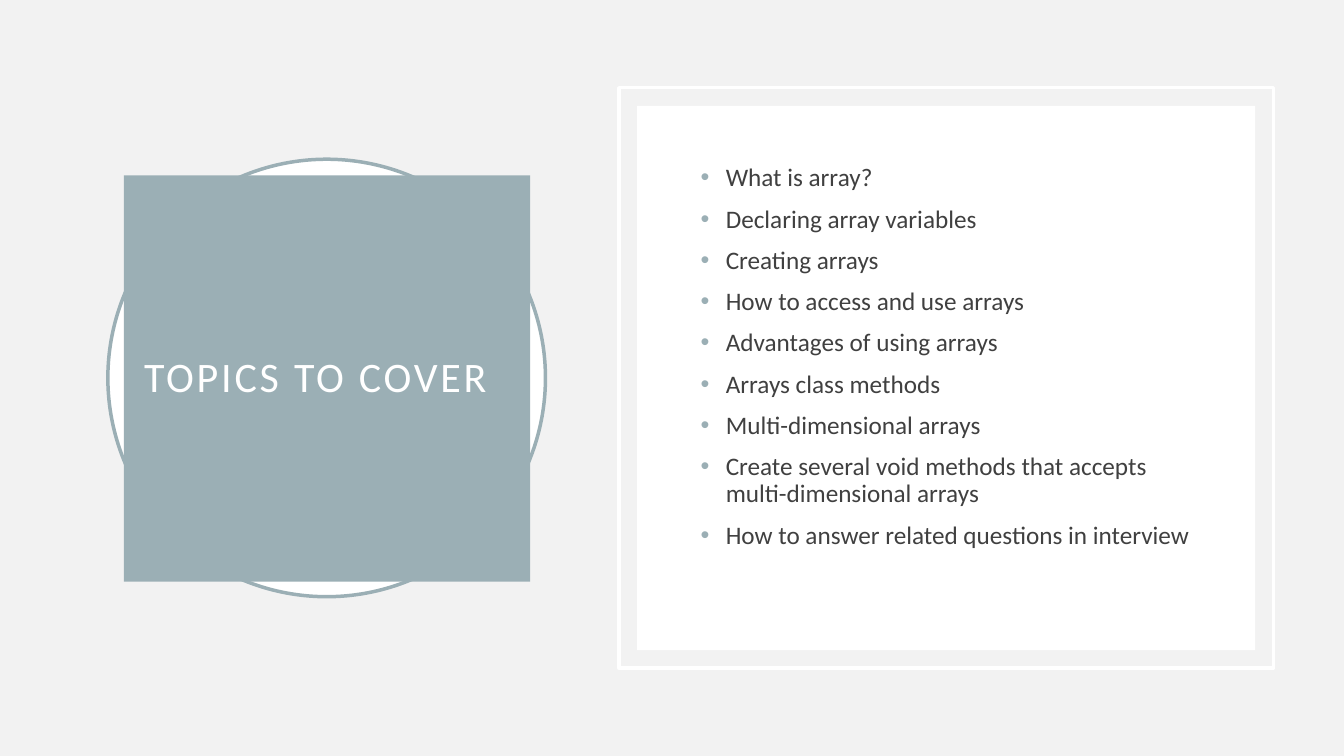
from dataclasses import dataclass

from lxml import etree
from pptx import Presentation
from pptx.dml.color import RGBColor
from pptx.enum import shapes, text
from pptx.oxml import ns
from pptx.shapes.autoshape import Shape
from pptx.slide import Slide
from pptx.text.text import _Paragraph
from pptx.util import Inches, Pt

COLORS = {
    "background": "F2F2F2",
    "accent": "9BAFB5",
    "white": "FFFFFF",
    "body": "404040",
}
FONT = "Calibri"
TITLE = "TOPICS TO COVER"
TOPICS = [
    "What is array?",
    "Declaring array variables",
    "Creating arrays",
    "How to access and use arrays",
    "Advantages of using arrays",
    "Arrays class methods",
    "Multi-dimensional arrays",
    "Create several void methods that accepts multi-dimensional arrays",
    "How to answer related questions in interview",
]


@dataclass
class Panel:
    kind: shapes.MSO_SHAPE
    left: float
    top: float
    width: float
    height: float
    fill: str | None = None
    line: str | None = None


RING = Panel(shapes.MSO_SHAPE.OVAL, 1.07, 1.58, 4.34, 4.34, "white", "accent")
TITLE_BLOCK = Panel(shapes.MSO_SHAPE.RECTANGLE, 1.23, 1.74, 4.03, 4.03, "accent")
FRAME = Panel(shapes.MSO_SHAPE.RECTANGLE, 6.14, 0.87, 6.49, 5.76, line="white")
CARD = Panel(shapes.MSO_SHAPE.RECTANGLE, 6.32, 1.05, 6.13, 5.4, "white")


def rgb(name: str) -> RGBColor:
    return RGBColor.from_string(COLORS[name])


def draw_panel(slide: Slide, panel: Panel) -> Shape:
    shape = slide.shapes.add_shape(
        panel.kind, Inches(panel.left), Inches(panel.top),
        Inches(panel.width), Inches(panel.height))
    shape.shadow.inherit = False
    if panel.fill:
        shape.fill.solid()
        shape.fill.fore_color.rgb = rgb(panel.fill)
    else:
        shape.fill.background()
    if panel.line:
        shape.line.color.rgb = rgb(panel.line)
        shape.line.width = Pt(2.5)
    else:
        shape.line.fill.background()
    return shape


def write(paragraph: _Paragraph, words: str, size: int, color: str, spacing: int = 0) -> None:
    paragraph.alignment = text.PP_ALIGN.LEFT
    paragraph.line_spacing = 0.9
    run = paragraph.add_run()
    run.text = words
    run.font.name = FONT
    run.font.size = Pt(size)
    run.font.color.rgb = rgb(color)
    if spacing:
        run.font._element.set("spc", str(spacing * 100))


def add_bullet(paragraph: _Paragraph, color: str) -> None:
    props = paragraph._p.get_or_add_pPr()
    props.set("marL", str(Inches(0.25)))
    props.set("indent", str(Inches(-0.25)))
    bullet_color = etree.SubElement(props, ns.qn("a:buClr"))
    etree.SubElement(bullet_color, ns.qn("a:srgbClr"), val=COLORS[color])
    etree.SubElement(props, ns.qn("a:buFont"), typeface="Arial")
    etree.SubElement(props, ns.qn("a:buChar"), char="•")


def add_title(slide: Slide) -> None:
    frame = draw_panel(slide, TITLE_BLOCK).text_frame
    frame.word_wrap = True
    frame.vertical_anchor = text.MSO_ANCHOR.MIDDLE
    frame.margin_left = frame.margin_right = Inches(0.2)
    frame.margin_top = frame.margin_bottom = Inches(0.2)
    write(frame.paragraphs[0], TITLE, 30, "white", spacing=2)


def add_topics(slide: Slide) -> None:
    topic_list = slide.shapes.add_textbox(
        Inches(6.85), Inches(1.58), Inches(5.09), Inches(4.34))
    frame = topic_list.text_frame
    frame.word_wrap = True
    frame.vertical_anchor = text.MSO_ANCHOR.MIDDLE
    # The deeper bottom margin lifts the list above the card's centre
    frame.margin_bottom = Inches(0.46)
    for index, topic in enumerate(TOPICS):
        paragraph = frame.add_paragraph() if index else frame.paragraphs[0]
        write(paragraph, topic, 18, "body")
        paragraph.space_before = Pt(10)
        add_bullet(paragraph, "accent")


def main() -> None:
    deck = Presentation()
    deck.slide_width = Inches(13.33)
    deck.slide_height = Inches(7.5)
    slide = deck.slides.add_slide(deck.slide_layouts[6])
    slide.background.fill.solid()
    slide.background.fill.fore_color.rgb = rgb("background")

    # Title block over its ring
    draw_panel(slide, RING)
    add_title(slide)

    # Framed card with the topics
    draw_panel(slide, FRAME)
    draw_panel(slide, CARD)
    add_topics(slide)

    deck.save("out.pptx")


if __name__ == "__main__":
    main()
